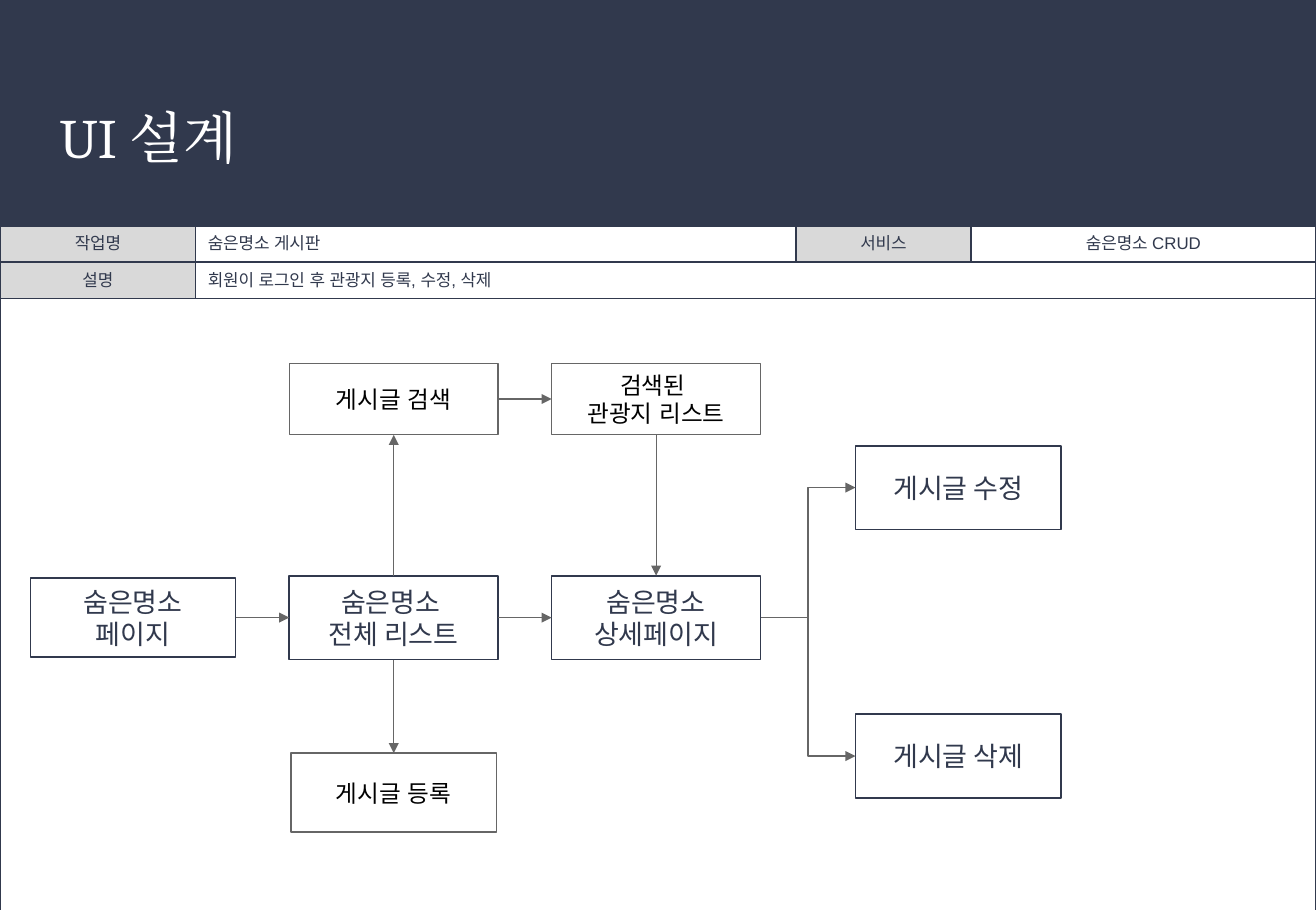
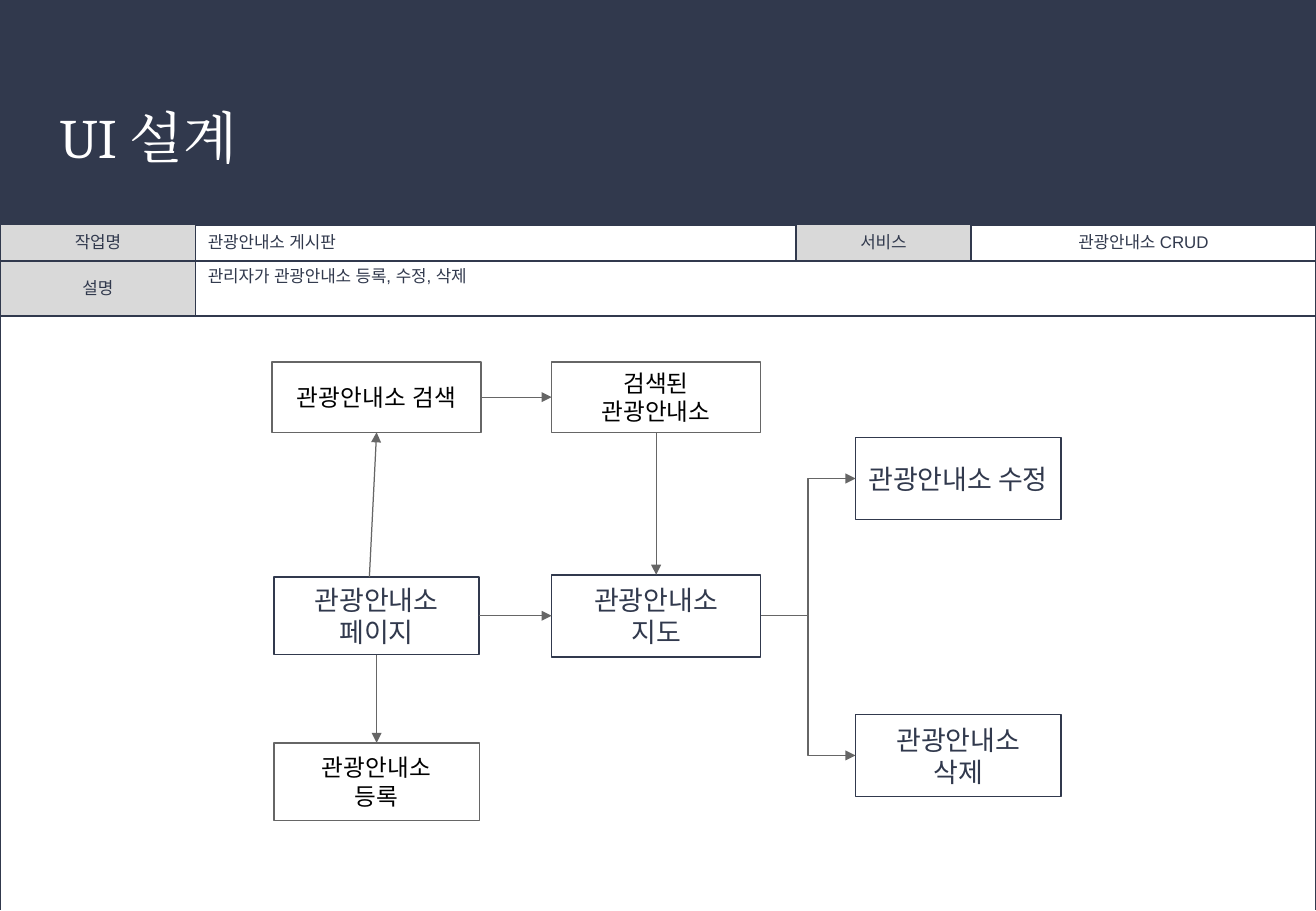
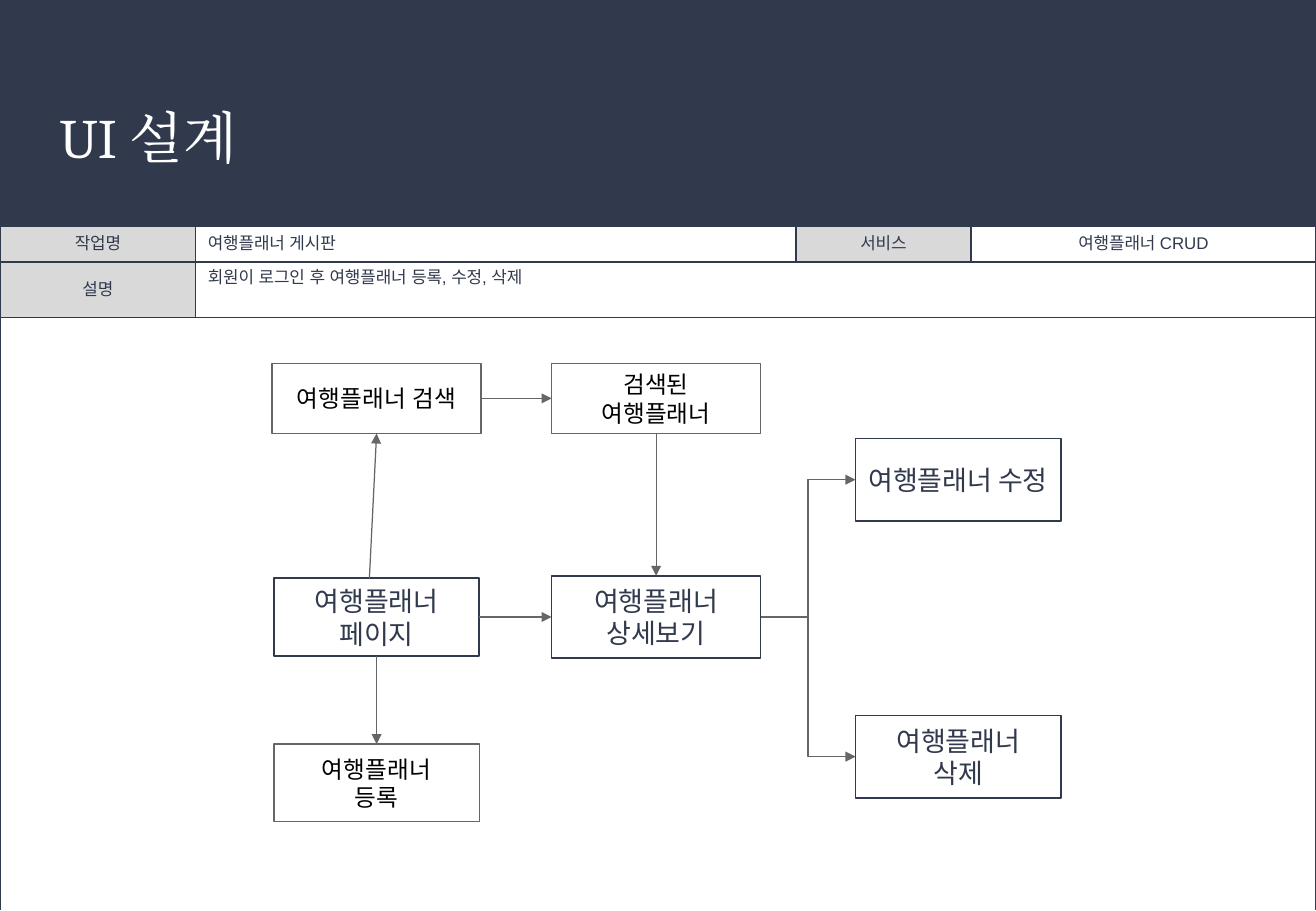
"""Build three UI design slides, each with a task table and a page flow."""
from dataclasses import dataclass
from typing import Optional

from lxml.etree import SubElement
from pptx import Presentation
from pptx.dml.color import RGBColor
from pptx.enum.shapes import MSO_CONNECTOR, MSO_SHAPE
from pptx.enum.text import MSO_ANCHOR, MSO_AUTO_SIZE, PP_ALIGN
from pptx.oxml.ns import qn
from pptx.util import Inches, Pt

NAVY = RGBColor(0x31, 0x39, 0x4D)
GREY = RGBColor(0x66, 0x66, 0x66)
PALE = RGBColor(0xD9, 0xD9, 0xD9)
WHITE = RGBColor(0xFF, 0xFF, 0xFF)
BLACK = RGBColor(0, 0, 0)

SLIDE_WIDTH, SLIDE_HEIGHT = Inches(10.83), Inches(7.5)
BAND_HEIGHT = 24.8
TABLE_COLUMNS = (14.87, 45.61, 13.3, 26.22)
TASK_ROW = 3.98
WIDE, NARROW = 15.88, 15.6
LOW, MEDIUM, HIGH = 7.87, 8.67, 9.2
FIRST_COLUMN, MIDDLE_COLUMN, RIGHT_COLUMN = 10.11, 49.86, 72.81
TOP, LEFT, BOTTOM, RIGHT = range(4)


@dataclass(frozen=True)
class BoxStyle:
    font: str
    size: float
    color: RGBColor
    line: RGBColor
    line_width: float
    fill: Optional[RGBColor] = None


MAIN = BoxStyle("Calibri", 16, NAVY, NAVY, 1)
SIDE = BoxStyle("Arial", 14, BLACK, GREY, 0.75, WHITE)


@dataclass(frozen=True)
class Box:
    name: str
    label: str
    column: float
    row: float
    width: float
    height: float
    style: BoxStyle


@dataclass(frozen=True)
class Link:
    start: str
    start_side: int
    end: str
    end_side: int
    elbow: bool = False
    shift: float = 0


@dataclass(frozen=True)
class Board:
    task: str
    service: str
    description: str
    table_top: float
    description_row: float
    boxes: tuple[Box, ...]
    links: tuple[Link, ...]


def across(share: float) -> int:
    """Turn a percentage of the slide width into a length."""
    return round(SLIDE_WIDTH * share / 100)


def down(share: float) -> int:
    """Turn a percentage of the slide height into a length."""
    return round(SLIDE_HEIGHT * share / 100)


def write_text(frame, text: str, *, font: str, size: float, color: RGBColor,
               align: PP_ALIGN = PP_ALIGN.LEFT) -> None:
    """Write one paragraph per line of text with a single format."""
    for index, line in enumerate(text.split("\n")):
        paragraph = frame.add_paragraph() if index else frame.paragraphs[0]
        paragraph.alignment = align
        run = paragraph.add_run()
        run.text = line
        run.font.size = Pt(size)
        run.font.color.rgb = color
        run.font.name = font
        SubElement(run._r.get_or_add_rPr(), qn("a:ea"), typeface=font)


def add_band(layout, slide) -> None:
    """Place the header band in the shared layout."""
    band = slide.shapes.add_shape(
        MSO_SHAPE.RECTANGLE, 0, 0, SLIDE_WIDTH, down(BAND_HEIGHT))
    band.shadow.inherit = False
    band.fill.solid()
    band.fill.fore_color.rgb = NAVY
    band.line.fill.background()
    layout.shapes.element.insert(2, band.element)


def format_title(slide) -> None:
    """Move the title placeholder onto the band and fill it."""
    title = slide.shapes.title
    title.left, title.top = across(3.42), down(9.73)
    title.width, title.height = across(93.17), down(12.13)
    frame = title.text_frame
    frame.auto_size = MSO_AUTO_SIZE.NONE
    frame.vertical_anchor = MSO_ANCHOR.TOP
    frame.margin_left = frame.margin_right = Inches(0.12)
    frame.margin_top = frame.margin_bottom = Inches(0.12)
    write_text(frame, "UI 설계", font="Cambria", size=33, color=WHITE)


def format_cell(cell, fill: Optional[RGBColor], sides: str) -> None:
    """Give a cell its borders, fill and anchor."""
    properties = cell._tc.get_or_add_tcPr()
    for side in sides:
        line = SubElement(properties, qn(f"a:ln{side}"), w=str(Pt(1)))
        solid = SubElement(line, qn("a:solidFill"))
        SubElement(solid, qn("a:srgbClr"), val=str(NAVY))
    if fill is None:
        cell.fill.background()
    else:
        cell.fill.solid()
        cell.fill.fore_color.rgb = fill
    cell.vertical_anchor = MSO_ANCHOR.MIDDLE


def add_task_table(slide, board: Board) -> None:
    """Draw the task table, whose last row frames the flow."""
    rows = (TASK_ROW, board.description_row)
    rows += (100 - board.table_top - sum(rows),)
    table = slide.shapes.add_table(
        len(rows), len(TABLE_COLUMNS), 0, down(board.table_top),
        SLIDE_WIDTH, down(sum(rows))).table
    table.first_row = table.horz_banding = False
    for column, share in zip(table.columns, TABLE_COLUMNS):
        column.width = across(share)
    for row, share in zip(table.rows, rows):
        row.height = down(share)
    texts = {(0, 0): "작업명", (0, 1): board.task, (0, 2): "서비스",
             (0, 3): board.service, (1, 0): "설명", (1, 1): board.description}
    labels = {(0, 0), (0, 2), (1, 0)}
    for row in range(len(rows)):
        for column in range(len(TABLE_COLUMNS)):
            place = row, column
            cell = table.cell(*place)
            format_cell(cell, PALE if place in labels else None,
                        "LRT" if row == len(rows) - 1 else "LRTB")
            if place in texts:
                write_text(cell.text_frame, texts[place], font="Arial",
                           size=10, color=NAVY,
                           align=PP_ALIGN.LEFT if column == 1 else PP_ALIGN.CENTER)
    table.cell(1, 1).merge(table.cell(1, 3))
    table.cell(2, 0).merge(table.cell(2, 3))
    if board.description_row > TASK_ROW:
        table.cell(1, 1).vertical_anchor = MSO_ANCHOR.TOP


def add_box(slide, box: Box):
    """Draw a flow box around its centre."""
    style = box.style
    shape = slide.shapes.add_shape(
        MSO_SHAPE.RECTANGLE, across(box.column - box.width / 2),
        down(box.row - box.height / 2), across(box.width), down(box.height))
    shape.shadow.inherit = False
    if style.fill is None:
        shape.fill.background()
    else:
        shape.fill.solid()
        shape.fill.fore_color.rgb = style.fill
    shape.line.color.rgb = style.line
    shape.line.width = Pt(style.line_width)
    shape.text_frame.word_wrap = False
    shape.text_frame.vertical_anchor = MSO_ANCHOR.MIDDLE
    write_text(shape.text_frame, box.label, font=style.font, size=style.size,
               color=style.color, align=PP_ALIGN.CENTER)
    return shape


def side_middle(shape, side: int) -> tuple[int, int]:
    """Return the middle of one side of a rectangle."""
    horizontal = {LEFT: 0, RIGHT: shape.width}.get(side, shape.width // 2)
    vertical = {TOP: 0, BOTTOM: shape.height}.get(side, shape.height // 2)
    return shape.left + horizontal, shape.top + vertical


def add_link(slide, link: Link, shapes: dict) -> None:
    """Draw an arrow between two boxes."""
    start, end = shapes[link.start], shapes[link.end]
    start_x, start_y = side_middle(start, link.start_side)
    kind = MSO_CONNECTOR.ELBOW if link.elbow else MSO_CONNECTOR.STRAIGHT
    connector = slide.shapes.add_connector(
        kind, start_x + across(link.shift), start_y,
        *side_middle(end, link.end_side))
    if not link.shift:
        connector.begin_connect(start, link.start_side)
    connector.end_connect(end, link.end_side)
    connector.line.color.rgb = GREY
    connector.line.width = Pt(0.75)
    SubElement(connector.line._get_or_add_ln(), qn("a:tailEnd"), type="triangle")
    SubElement(connector.element.spPr, qn("a:effectLst"))


def flow_links(hub: str, shift: float = 0) -> tuple[Link, ...]:
    """Return the arrows that every flow has around its hub box."""
    return (
        Link(hub, RIGHT, "detail", LEFT),
        Link("detail", RIGHT, "edit", LEFT, elbow=True),
        Link("detail", RIGHT, "delete", LEFT, elbow=True),
        Link(hub, TOP, "search", BOTTOM, shift=shift),
        Link(hub, BOTTOM, "register", TOP),
        Link("search", RIGHT, "found", LEFT),
        Link("found", BOTTOM, "detail", TOP),
    )


def subject_board(subject: str, detail: str, description: str,
                  table_top: float) -> Board:
    """Return a board whose boxes all name one subject."""
    left = 28.62
    offset = table_top - 24.67
    low, medium, high = (height * 0.98 for height in (LOW, MEDIUM, HIGH))
    boxes = (
        Box("page", f"{subject}\n페이지", left, 67.6 + offset, NARROW, medium, MAIN),
        Box("detail", f"{subject}\n{detail}", MIDDLE_COLUMN, 67.6 + offset, WIDE, high, MAIN),
        Box("edit", f"{subject} 수정", RIGHT_COLUMN, 52.53 + offset, NARROW, high, MAIN),
        Box("delete", f"{subject}\n삭제", RIGHT_COLUMN, 82.93 + offset, NARROW, high, MAIN),
        Box("search", f"{subject} 검색", left, 43.6 + offset, WIDE, low, SIDE),
        Box("found", f"검색된\n{subject}", MIDDLE_COLUMN, 43.6 + offset, WIDE, low, SIDE),
        Box("register", f"{subject}\n등록", left, 85.8 + offset, NARROW, medium, SIDE),
    )
    return Board(f"{subject} 게시판", f"{subject} CRUD", description, table_top,
                 6.05, boxes, flow_links("page", shift=-0.55))


def hidden_place_board() -> Board:
    """Return the board of the hidden places."""
    left = 29.92
    boxes = (
        Box("page", "숨은명소\n페이지", FIRST_COLUMN, 67.8, NARROW, MEDIUM, MAIN),
        Box("list", "숨은명소 \n전체 리스트", left, 67.8, WIDE, HIGH, MAIN),
        Box("detail", "숨은명소\n상세페이지", MIDDLE_COLUMN, 67.8, WIDE, HIGH, MAIN),
        Box("edit", "게시글 수정", RIGHT_COLUMN, 53.53, NARROW, HIGH, MAIN),
        Box("delete", "게시글 삭제", RIGHT_COLUMN, 83, NARROW, HIGH, MAIN),
        Box("search", "게시글 검색", left, 43.8, WIDE, LOW, SIDE),
        Box("found", "검색된 \n관광지 리스트", MIDDLE_COLUMN, 43.8, WIDE, LOW, SIDE),
        Box("register", "게시글 등록", left, 87, NARROW, MEDIUM, SIDE),
    )
    return Board("숨은명소 게시판", "숨은명소 CRUD",
                 "회원이 로그인 후 관광지 등록, 수정, 삭제", 24.8, TASK_ROW, boxes,
                 (Link("page", RIGHT, "list", LEFT),) + flow_links("list"))


def main() -> None:
    """Build and save the presentation."""
    presentation = Presentation()
    presentation.slide_width, presentation.slide_height = SLIDE_WIDTH, SLIDE_HEIGHT
    layout = presentation.slide_layouts[5]
    boards = (
        hidden_place_board(),
        subject_board("관광안내소", "지도", "관리자가 관광안내소 등록, 수정, 삭제", 24.67),
        subject_board("여행플래너", "상세보기",
                      "회원이 로그인 후 여행플래너 등록, 수정, 삭제", 24.8),
    )
    for index, board in enumerate(boards):
        slide = presentation.slides.add_slide(layout)
        if index == 0:
            add_band(layout, slide)
        format_title(slide)
        add_task_table(slide, board)
        shapes = {box.name: add_box(slide, box) for box in board.boxes}
        for link in board.links:
            add_link(slide, link, shapes)
    presentation.save("out.pptx")


if __name__ == "__main__":
    main()
